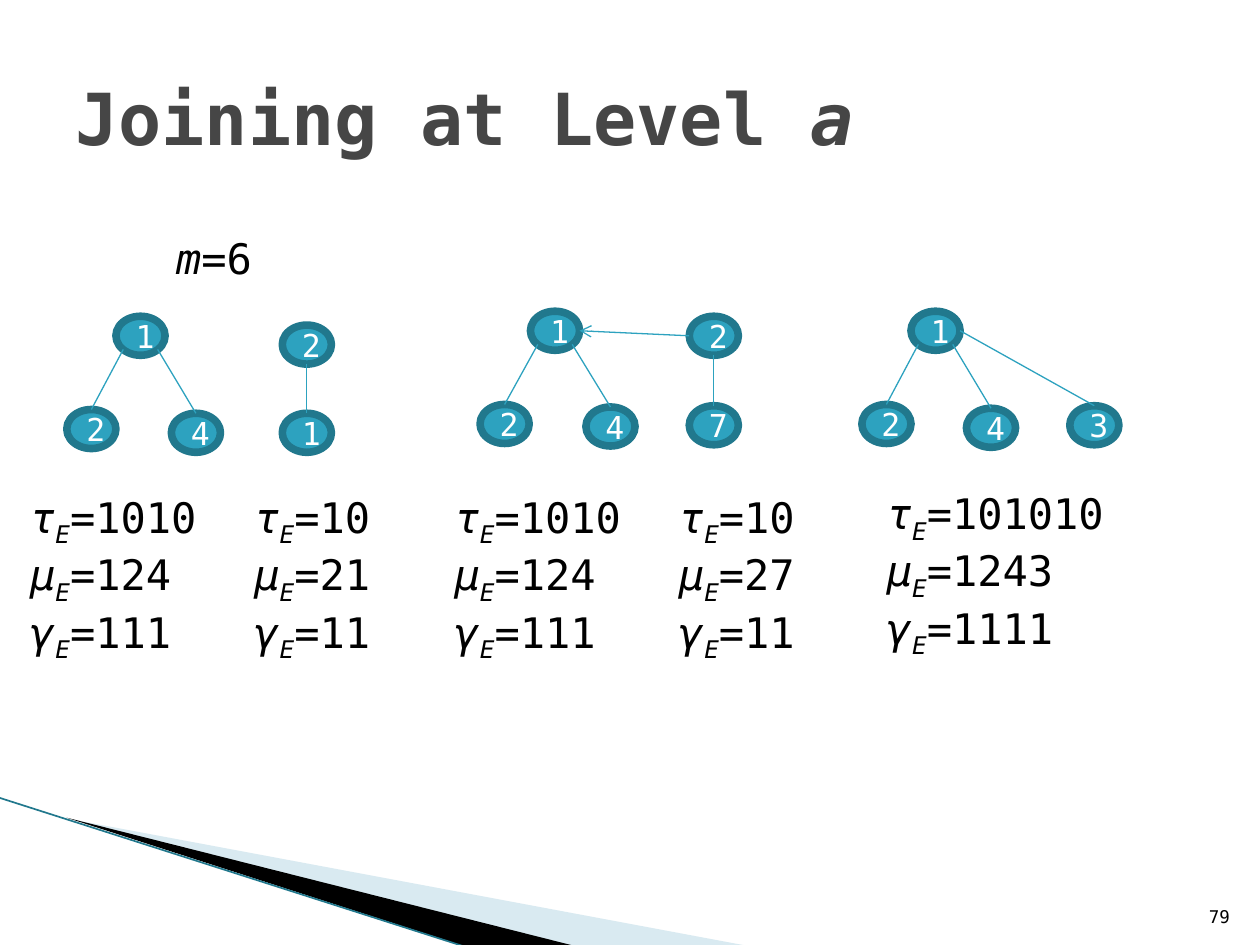
from lxml import etree
from pptx import Presentation
from pptx.dml.color import RGBColor
from pptx.enum.shapes import MSO_CONNECTOR, MSO_SHAPE
from pptx.enum.text import MSO_ANCHOR, PP_ALIGN
from pptx.oxml.ns import qn
from pptx.util import Inches, Pt

OVAL = MSO_SHAPE.OVAL
STRAIGHT = MSO_CONNECTOR.STRAIGHT
TOP, MIDDLE, BOTTOM = MSO_ANCHOR.TOP, MSO_ANCHOR.MIDDLE, MSO_ANCHOR.BOTTOM
LEFT, CENTER, RIGHT = PP_ALIGN.LEFT, PP_ALIGN.CENTER, PP_ALIGN.RIGHT

FONT = "DejaVu Sans Mono"
WHITE = RGBColor(0xFF, 0xFF, 0xFF)
BLACK = RGBColor(0x00, 0x00, 0x00)
GRAY = RGBColor(0x46, 0x46, 0x46)
TEAL = RGBColor(0x2D, 0xA2, 0xBF)
DARK_TEAL = RGBColor(0x21, 0x78, 0x8D)
PALE_BLUE = RGBColor(0xA0, 0xCB, 0xDC)

NODE_WIDTH, NODE_HEIGHT = 0.39, 0.31
# Points on a node's rim, as fractions of its width and height
RIM = {
    "top": (0.5, 0),
    "left": (0, 0.5),
    "right": (1, 0.5),
    "bottom": (0.5, 1),
    "bottom left": (0.15, 0.85),
    "bottom right": (0.85, 0.85),
}


def add_span(para, text, size=24, color=BLACK, bold=False, italic=False, baseline=0):
    span = para.add_run()
    span.text = text
    font = span.font
    font.name, font.size, font.bold, font.italic = FONT, Pt(size), bold, italic
    font.color.rgb = color
    if baseline:
        span._r.get_or_add_rPr().set("baseline", str(baseline * 1000))


def add_text_box(page, box, lines, wrap=True, anchor=TOP, align=LEFT):
    """Each line is a list of (text, format) pairs."""
    frame = page.shapes.add_textbox(*map(Inches, box)).text_frame
    frame.word_wrap = wrap
    frame.vertical_anchor = anchor
    for index, spans in enumerate(lines):
        para = frame.add_paragraph() if index else frame.paragraphs[0]
        para.alignment = align
        for text, style in spans:
            add_span(para, text, **style)


def add_line(page, start, end, color=TEAL, width=0.75, arrow=False):
    line = page.shapes.add_connector(STRAIGHT, *map(Inches, (*start, *end)))
    line.line.color.rgb = color
    line.line.width = Pt(width)
    properties = line._element.spPr
    if arrow:
        etree.SubElement(properties.find(qn("a:ln")), qn("a:tailEnd"), type="arrow")
    etree.SubElement(properties, qn("a:effectLst"))


def add_wedge(page, points, color, opacity=100):
    corners = [(Inches(x), Inches(y)) for x, y in points]
    builder = page.shapes.build_freeform(*corners[0])
    builder.add_line_segments(corners[1:], close=True)
    wedge = builder.convert_to_shape()
    wedge.shadow.inherit = False
    wedge.fill.solid()
    wedge.fill.fore_color.rgb = color
    wedge.line.fill.background()
    if opacity < 100:
        fill = wedge._element.spPr.find(qn("a:solidFill"))
        etree.SubElement(fill[0], qn("a:alpha"), val=str(opacity * 1000))


def add_node(page, place, label):
    node = page.shapes.add_shape(
        OVAL, *map(Inches, (*place, NODE_WIDTH, NODE_HEIGHT)))
    node.shadow.inherit = False
    node.fill.solid()
    node.fill.fore_color.rgb = TEAL
    node.line.color.rgb = DARK_TEAL
    node.line.width = Pt(4.33)
    frame = node.text_frame
    frame.vertical_anchor = MIDDLE
    para = frame.paragraphs[0]
    para.alignment = CENTER
    add_span(para, label, size=18, color=WHITE)


def rim_point(place, side):
    across, down = RIM[side]
    return place[0] + across * NODE_WIDTH, place[1] + down * NODE_HEIGHT


def add_tree(page, root, label, children):
    """Children are (side of the root, place, label)."""
    add_node(page, root, label)
    for side, place, child_label in children:
        add_node(page, place, child_label)
        add_line(page, rim_point(root, side), rim_point(place, "top"))


def add_encoding(page, box, values):
    lines = [
        [(symbol, {"italic": True}),
         ("E", {"italic": True, "baseline": -25}),
         ("=" + value, {})]
        for symbol, value in zip("τμγ", values)
    ]
    add_text_box(page, box, lines)


def add_backdrop(page):
    add_wedge(page, [(0.55, 6.5), (5.95, 7.51), (4.56, 7.51)], PALE_BLUE, opacity=40)
    add_wedge(page, [(0.53, 6.49), (4.57, 7.51), (3.72, 7.52)], BLACK)
    add_line(page, (-0.01, 6.33), (3.71, 7.52), color=DARK_TEAL, width=0.95)


def main():
    deck = Presentation()
    deck.slide_width, deck.slide_height = Inches(10), Inches(7.5)
    page = deck.slides.add_slide(deck.slide_layouts[6])
    add_backdrop(page)

    # Title, parameter and page number
    heading = {"size": 41, "color": GRAY, "bold": True}
    add_text_box(page, (0.5, 0.3, 9, 1.25),
                 [[("Joining at Level ", heading), ("a", {**heading, "italic": True})]],
                 anchor=MIDDLE)
    add_text_box(page, (1.3, 1.8, 1, 0.5),
                 [[("m", {"italic": True}), ("=6", {})]], wrap=False)
    add_text_box(page, (9.46, 7.01, 0.4, 0.4), [[("79", {"size": 10})]],
                 anchor=BOTTOM, align=RIGHT)

    # Trees: the two inputs, the relabelled pair, the joined result
    trees = [
        ((0.92, 2.51), "1", [("bottom left", (0.53, 3.25), "2"),
                             ("bottom right", (1.36, 3.28), "4")]),
        ((2.24, 2.58), "2", [("bottom", (2.24, 3.28), "1")]),
        ((4.21, 2.47), "1", [("bottom left", (3.81, 3.21), "2"),
                             ("bottom right", (4.65, 3.23), "4")]),
        ((5.47, 2.51), "2", [("bottom", (5.47, 3.22), "7")]),
        ((7.23, 2.47), "1", [("bottom left", (6.84, 3.21), "2"),
                             ("bottom right", (7.67, 3.24), "4"),
                             ("right", (8.49, 3.22), "3")]),
    ]
    for root, label, children in trees:
        add_tree(page, root, label, children)

    # Arrow that joins the second root to the first
    add_line(page, rim_point(trees[3][0], "left"), rim_point(trees[2][0], "right"),
             arrow=True)

    # Encodings below the trees
    encodings = [
        ((0.14, 3.85, 1.62, 1.31), ("1010", "124", "111")),
        ((1.92, 3.85, 1.62, 1.31), ("10", "21", "11")),
        ((3.51, 3.85, 1.62, 1.31), ("1010", "124", "111")),
        ((5.29, 3.85, 1.62, 1.31), ("10", "27", "11")),
        ((6.94, 3.82, 2.16, 1.31), ("101010", "1243", "1111")),
    ]
    for box, values in encodings:
        add_encoding(page, box, values)

    deck.save("out.pptx")


if __name__ == "__main__":
    main()
